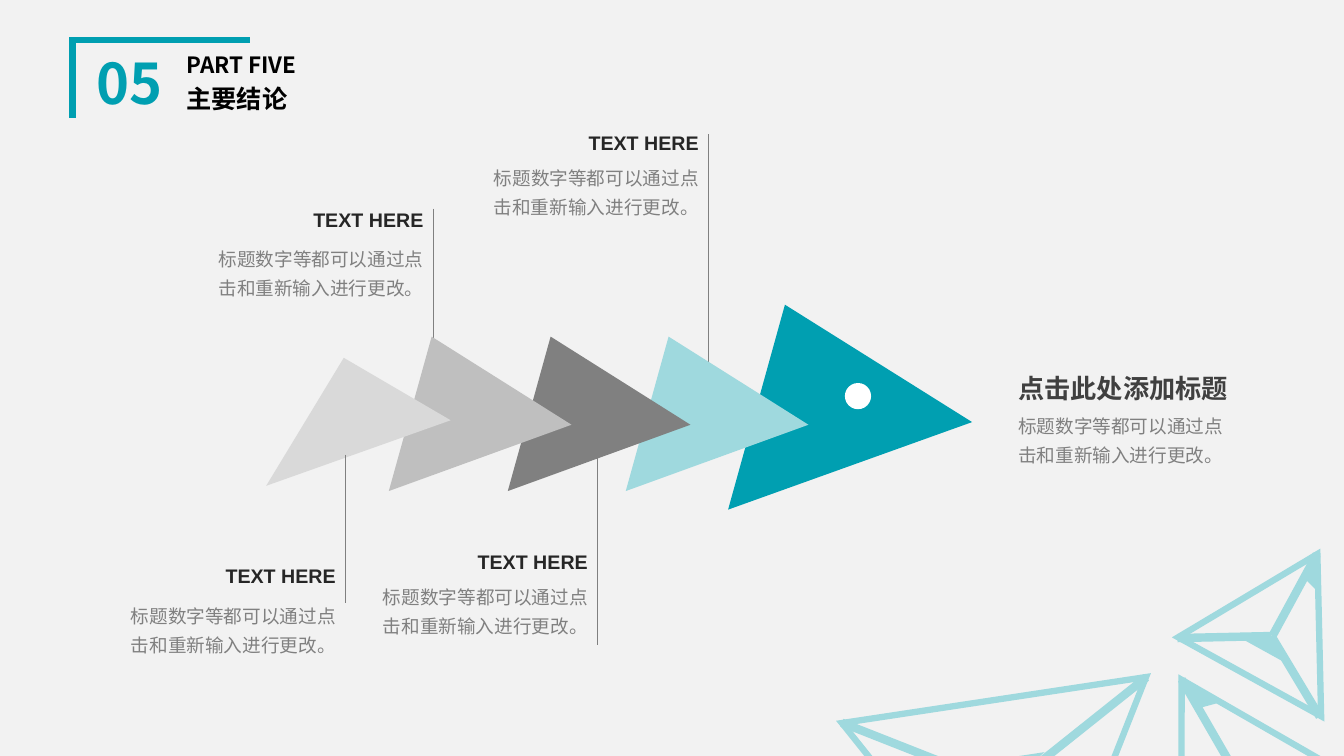
from dataclasses import dataclass

from lxml.etree import SubElement
from pptx import Presentation
from pptx.dml.color import RGBColor
from pptx.enum.shapes import MSO_CONNECTOR as Connector, MSO_SHAPE as Preset
from pptx.enum.text import MSO_ANCHOR as Anchor, MSO_AUTO_SIZE as AutoSize, PP_ALIGN as Align
from pptx.oxml.ns import qn
from pptx.util import Inches, Pt

COLORS = {
    "paper": "F2F2F2", "teal": "009FB1", "aqua": "9FD9DE", "gray": "808080",
    "silver": "BFBFBF", "mist": "D9D9D9", "white": "FFFFFF", "black": "000000",
    "ink": "262626", "charcoal": "404040",
}
SANS = "Noto Sans CJK SC"
HINT = "标题数字等都可以通过点击和重新输入进行更改。"
Point = tuple[float, float]


@dataclass
class Style:
    size: float
    color: str
    font: str = SANS
    bold: bool = False
    align: Align = Align.LEFT
    line_spacing: float = 1.0
    space_before: float = 0


@dataclass
class Triangle:
    left: float
    top: float
    width: float
    height: float
    rotation: float
    fill: str
    outline: float = 0
    apex: float = 0.5


@dataclass
class Gem:
    frame: Triangle
    ribs: list[tuple[Point, Point]]
    hub: Triangle | None = None
    tip: list[Point] | None = None


@dataclass
class Callout:
    stem_x: float
    stem_top: float
    stem_bottom: float
    heading_top: float
    hint_top: float


GEMS = [
    Gem(Triangle(8.53, 6.93, 3.05, 2.63, 171.4, "paper", 4.5),
        [((11.37, 6.72), (9.99, 7.82)), ((8.35, 7.17), (10, 7.82))],
        hub=Triangle(9.57, 7.53, 0.79, 0.24, 171.4, "aqua", 1)),
    Gem(Triangle(11.16, 6.63, 1.97, 1.7, 330, "paper", 4.5),
        [((11.72, 6.74), (12.28, 7.71))],
        tip=[(11.92, 7.01), (12.07, 6.97), (11.81, 6.82)]),
    Gem(Triangle(11.92, 5.41, 1.62, 1.39, 28.9, "paper", 4.5),
        [((13.06, 5.5), (12.62, 6.31)), ((11.68, 6.33), (12.61, 6.31)),
         ((13.09, 7.11), (12.61, 6.31))],
        hub=Triangle(12.36, 6.33, 0.42, 0.13, 28.9, "aqua", 1),
        tip=[(12.96, 5.75), (13.05, 5.84), (13.04, 5.6)]),
]
HEAD = Triangle(7.46, 3.27, 2.11, 2.1, 105.5, "teal", apex=0.297)
SCALES = [Triangle(left, 3.53, 1.59, 1.57, 105.5, fill, apex=0.297)
          for left, fill in ((6.38, "aqua"), (5.21, "gray"), (4.03, "silver"))]
TAIL = [(3.41, 3.55), (4.47, 4.17), (2.64, 4.82)]

UPPER_CALLOUTS = [Callout(7.03, 1.33, 3.64, 1.25, 1.54), Callout(4.3, 2.07, 3.54, 2.01, 2.34)]
LOWER_CALLOUTS = [Callout(5.93, 4.52, 6.4, 5.41, 5.7), Callout(3.43, 4.51, 5.98, 5.55, 5.89)]
HEADING_WIDTH, HINT_WIDTH = 1.64, 2.34


def rgb(name: str) -> RGBColor:
    return RGBColor.from_string(COLORS[name])


def paint(shape, fill: str | None, line: str, width: float) -> None:
    shape.shadow.inherit = False
    if fill:
        shape.fill.solid()
        shape.fill.fore_color.rgb = rgb(fill)
    else:
        shape.fill.background()
    if width:
        shape.line.color.rgb = rgb(line)
        shape.line.width = Pt(width)
        SubElement(shape.line._get_or_add_ln(), qn("a:miter"), lim="800000")
    else:
        shape.line.fill.background()


def draw_triangle(shapes, triangle: Triangle) -> None:
    shape = shapes.add_shape(Preset.ISOSCELES_TRIANGLE, Inches(triangle.left), Inches(triangle.top),
                             Inches(triangle.width), Inches(triangle.height))
    shape.adjustments[0] = triangle.apex
    shape.rotation = triangle.rotation
    paint(shape, triangle.fill, "aqua", triangle.outline)


def draw_outline(shapes, points: list[Point], fill: str | None, line: str, width: float) -> None:
    start, *rest = [(Inches(x), Inches(y)) for x, y in points]
    builder = shapes.build_freeform(*start)
    builder.add_line_segments(rest, close=fill is not None)
    paint(builder.convert_to_shape(), fill, line, width)


def draw_line(shapes, start: Point, end: Point, color: str, width: float) -> None:
    line = shapes.add_connector(Connector.STRAIGHT, *(Inches(v) for v in (*start, *end)))
    line.line.color.rgb = rgb(color)
    line.line.width = Pt(width)
    SubElement(line._element.spPr, qn("a:effectLst"))


def draw_gem(shapes, gem: Gem) -> None:
    draw_triangle(shapes, gem.frame)
    for start, end in gem.ribs:
        draw_line(shapes, start, end, "aqua", 6)
    if gem.hub:
        draw_triangle(shapes, gem.hub)
    if gem.tip:
        draw_outline(shapes, gem.tip, "aqua", "aqua", 1)


def draw_stem(shapes, callout: Callout) -> None:
    draw_line(shapes, (callout.stem_x, callout.stem_top),
              (callout.stem_x, callout.stem_bottom), "gray", 0.75)


def write(frame, text: str, style: Style) -> None:
    paragraph = frame.paragraphs[0]
    paragraph.alignment = style.align
    paragraph.line_spacing = style.line_spacing
    paragraph.space_before = Pt(style.space_before)
    run = paragraph.add_run()
    run.text = text
    run.font.size = Pt(style.size)
    run.font.bold = style.bold
    run.font.color.rgb = rgb(style.color)
    run.font.name = style.font
    SubElement(run.font._element, qn("a:ea"), typeface=style.font)


def add_text(shapes, left: float, top: float, width: float, height: float,
             text: str, style: Style, wrap: bool = True) -> None:
    frame = shapes.add_textbox(Inches(left), Inches(top), Inches(width), Inches(height)).text_frame
    frame.word_wrap = wrap
    frame.auto_size = AutoSize.SHAPE_TO_FIT_TEXT
    write(frame, text, style)


def fill_placeholder(holder, left: float, top: float, width: float, height: float,
                     text: str, style: Style) -> None:
    holder.left, holder.top = Inches(left), Inches(top)
    holder.width, holder.height = Inches(width), Inches(height)
    holder.text_frame.vertical_anchor = Anchor.MIDDLE
    holder.text_frame.auto_size = AutoSize.NONE
    write(holder.text_frame, text, style)


def main() -> None:
    deck = Presentation()
    deck.slide_width, deck.slide_height = Inches(13.33), Inches(7.5)
    slide = deck.slides.add_slide(deck.slide_layouts.get_by_name("Comparison"))
    slide.background.fill.solid()
    slide.background.fill.fore_color.rgb = rgb("paper")
    shapes = slide.shapes
    holders = {holder.placeholder_format.idx: holder for holder in slide.placeholders}

    fill_placeholder(holders[1], 0.82, 0.49, 0.93, 0.73, "05",
                     Style(40, "teal", bold=True, align=Align.CENTER, line_spacing=0.9, space_before=10))
    fill_placeholder(holders[3], 1.75, 0.49, 2.67, 0.34, "PART FIVE",
                     Style(16, "black", bold=True, line_spacing=0.9, space_before=10))
    fill_placeholder(holders[0], 1.75, 0.78, 2.67, 0.44, "主要结论",
                     Style(18, "black", bold=True, line_spacing=0.9, space_before=10))
    for unused in (holders[2], holders[4]):
        unused._element.getparent().remove(unused._element)

    draw_outline(shapes, [(0.72, 1.17), (0.72, 0.4), (2.48, 0.4)], None, "teal", 4.5)
    for gem in GEMS:
        draw_gem(shapes, gem)

    for callout in UPPER_CALLOUTS:
        draw_stem(shapes, callout)
    for triangle in (HEAD, *SCALES):
        draw_triangle(shapes, triangle)
    draw_outline(shapes, TAIL, "mist", "mist", 0)
    eye = shapes.add_shape(Preset.OVAL, Inches(8.38), Inches(3.8), Inches(0.26), Inches(0.26))
    paint(eye, "white", "white", 0)
    for callout in LOWER_CALLOUTS:
        draw_stem(shapes, callout)

    heading = Style(14, "ink", font="Arial", bold=True, align=Align.RIGHT)
    hint = Style(13.3, "gray", align=Align.RIGHT, line_spacing=1.3)
    for callout in UPPER_CALLOUTS + LOWER_CALLOUTS:
        add_text(shapes, callout.stem_x - HEADING_WIDTH, callout.heading_top, HEADING_WIDTH, 0.34,
                 "TEXT HERE", heading)
        add_text(shapes, callout.stem_x - HINT_WIDTH, callout.hint_top, HINT_WIDTH, 0.68, HINT, hint)

    add_text(shapes, 10, 4, 2.29, 0.68, HINT, Style(13.3, "gray", line_spacing=1.3))
    add_text(shapes, 10, 3.64, 2.29, 0.42, "点击此处添加标题",
             Style(18.7, "charcoal", bold=True), wrap=False)
    deck.save("out.pptx")


if __name__ == "__main__":
    main()
